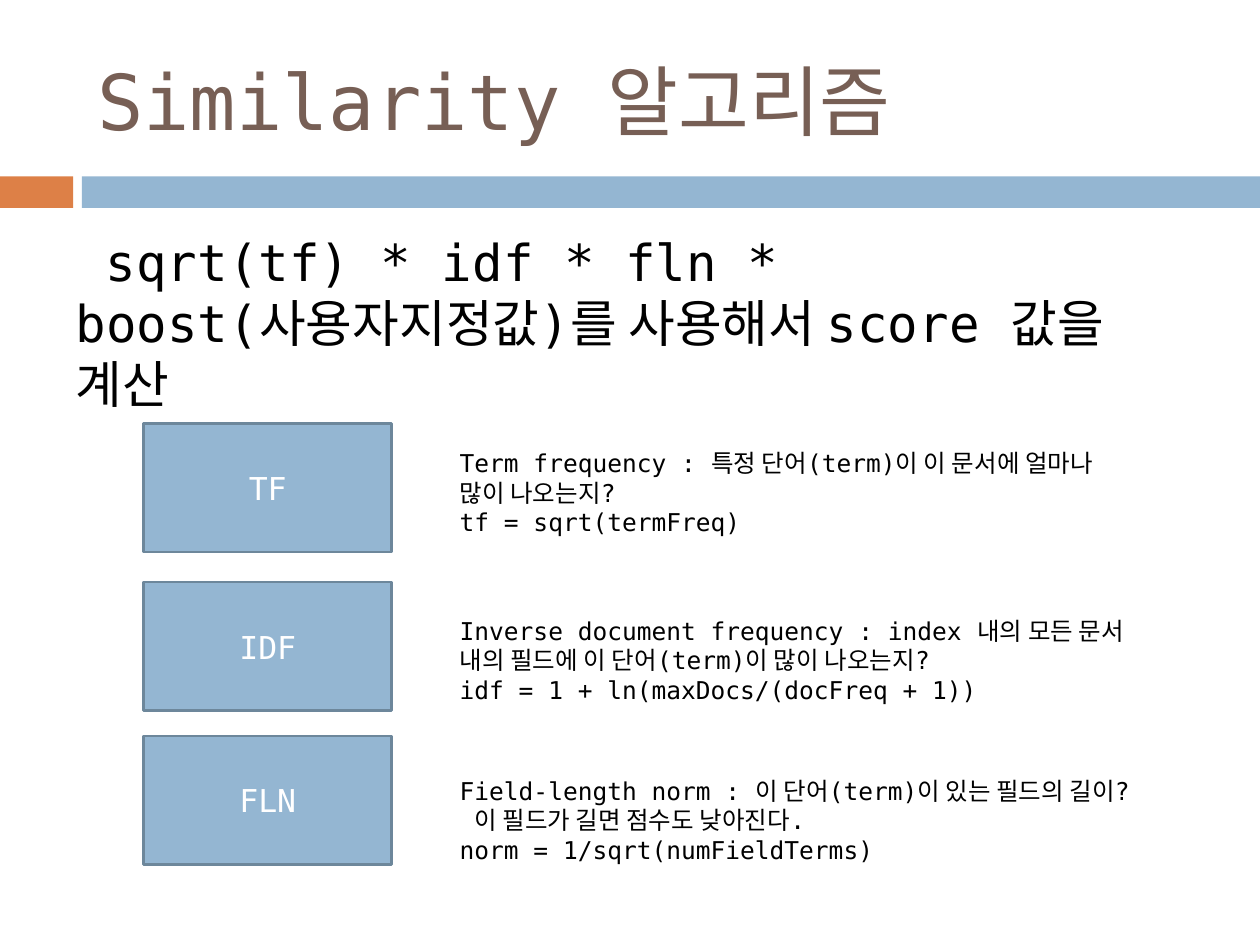
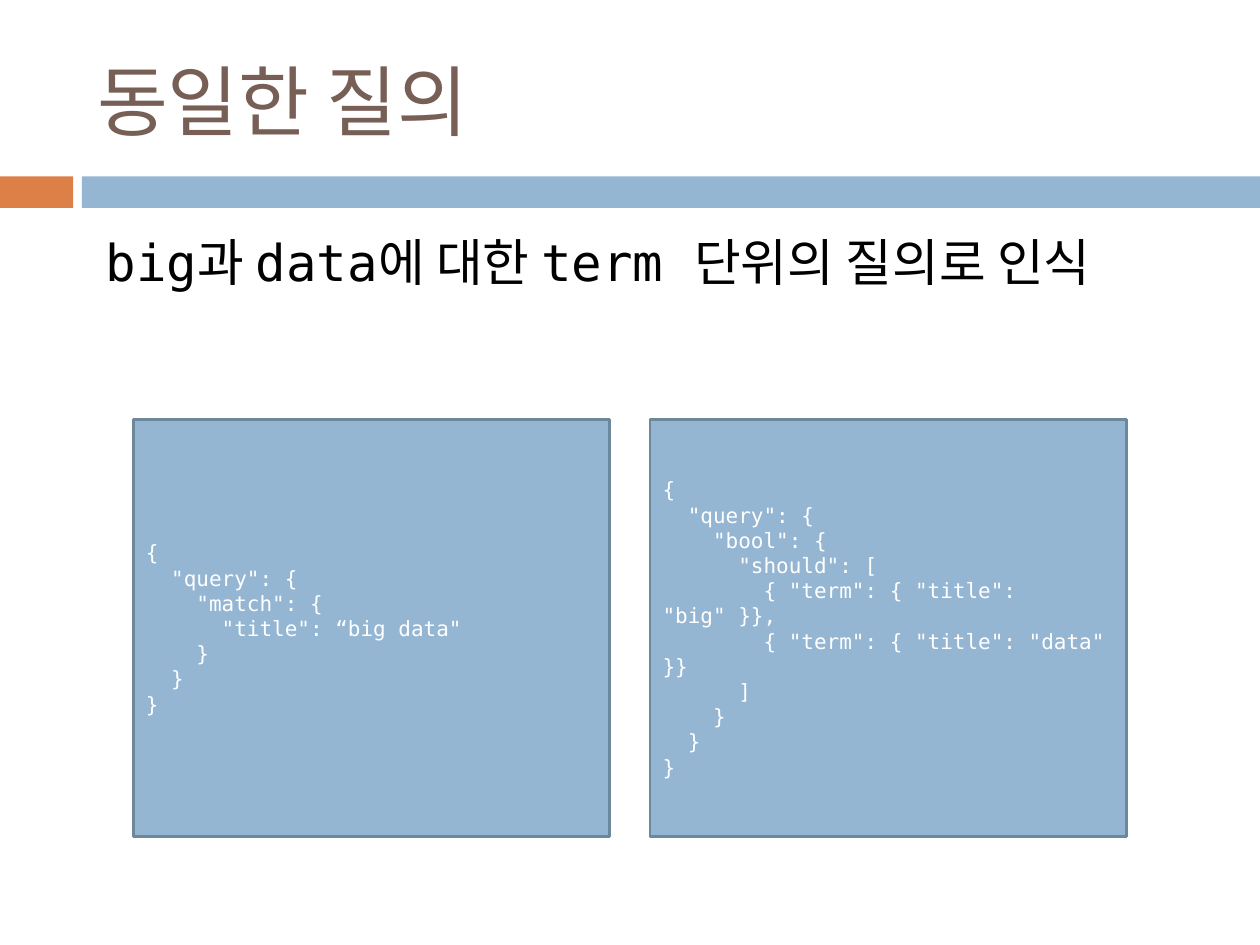
"""Build two slides on similarity scoring and equivalent search queries."""
from dataclasses import dataclass

from pptx import Presentation
from pptx.dml.color import RGBColor
from pptx.enum.shapes import MSO_SHAPE
from pptx.enum.text import MSO_ANCHOR, MSO_AUTO_SIZE, PP_ALIGN
from pptx.oxml.xmlchemy import OxmlElement
from pptx.presentation import Presentation as Deck
from pptx.shapes.autoshape import Shape
from pptx.slide import Slide
from pptx.text.text import TextFrame
from pptx.util import Inches, Pt

FONT = "DejaVu Sans Mono"
COLORS = {
    "accent": "DD8047",
    "band": "94B6D2",
    "outline": "6D879B",
    "title": "775F55",
    "text": "000000",
    "light": "FFFFFF",
}


@dataclass(frozen=True)
class Box:
    """Position and size in inches."""

    left: float
    top: float
    width: float
    height: float


@dataclass(frozen=True)
class Factor:
    """One scoring factor with its label and explanation."""

    label: str
    label_top: float
    details: list[str]
    details_top: float


TITLE_BOX = Box(0.67, 0.25, 8.92, 1.08)
LEAD_BOX = Box(0.5, 1.78, 9, 1.3)
BANDS = {"accent": Box(0, 1.4, 0.58, 0.25), "band": Box(0.65, 1.4, 9.35, 0.25)}

FACTORS = [
    Factor("TF", 3.36, [
        "Term frequency : 특정 단어(term)이 이 문서에 얼마나 많이 나오는지?",
        "tf = sqrt(termFreq)",
    ], 3.51),
    Factor("IDF", 4.62, [
        "Inverse document frequency : index 내의 모든 문서 내의 필드에 이 단어(term)이 많이 나오는지?",
        "idf = 1 + ln(maxDocs/(docFreq + 1))",
    ], 4.84),
    Factor("FLN", 5.84, [
        "Field-length norm : 이 단어(term)이 있는 필드의 길이? 이 필드가 길면 점수도 낮아진다.",
        "norm = 1/sqrt(numFieldTerms)",
    ], 6.11),
]

MATCH_QUERY = """{
  "query": {
    "match": {
      "title": “big data"
    }
  }
}"""

BOOL_QUERY = """{
  "query": {
    "bool": {
      "should": [
        { "term": { "title": "big" }},
        { "term": { "title": "data" }}
      ]
    }
  }
}"""


def write(frame: TextFrame, lines: list[str], size: int, color: str,
          align: PP_ALIGN = PP_ALIGN.LEFT,
          anchor: MSO_ANCHOR = MSO_ANCHOR.MIDDLE) -> None:
    """Fill a text frame with one paragraph per line."""
    frame.word_wrap = True
    frame.auto_size = MSO_AUTO_SIZE.NONE
    frame.vertical_anchor = anchor
    for index, line in enumerate(lines):
        paragraph = frame.add_paragraph() if index else frame.paragraphs[0]
        paragraph.text = line
        paragraph.alignment = align
        paragraph.space_before = Pt(0)
        paragraph.font.name = FONT
        paragraph.font.size = Pt(size)
        paragraph.font.color.rgb = RGBColor.from_string(COLORS[color])


def place(shape: Shape, box: Box) -> None:
    """Move and resize a placeholder."""
    shape.left, shape.top = Inches(box.left), Inches(box.top)
    shape.width, shape.height = Inches(box.width), Inches(box.height)


def add_rectangle(slide: Slide, box: Box, fill: str, outline: str | None = None) -> Shape:
    """Draw a flat rectangle with an optional outline."""
    rectangle = slide.shapes.add_shape(
        MSO_SHAPE.RECTANGLE, Inches(box.left), Inches(box.top),
        Inches(box.width), Inches(box.height))
    rectangle.shadow.inherit = False
    rectangle.fill.solid()
    rectangle.fill.fore_color.rgb = RGBColor.from_string(COLORS[fill])
    if outline:
        rectangle.line.color.rgb = RGBColor.from_string(COLORS[outline])
        rectangle.line.width = Pt(1.5)
    else:
        rectangle.line.fill.background()
    return rectangle


def add_panel(slide: Slide, box: Box, lines: list[str], size: int, align: PP_ALIGN) -> None:
    """Draw an outlined panel with light text."""
    panel = add_rectangle(slide, box, "band", "outline")
    write(panel.text_frame, lines, size, "light", align)


def add_topic_slide(deck: Deck, title: str, lead: str) -> Slide:
    """Add a slide with the shared bands, title and lead sentence."""
    slide = deck.slides.add_slide(deck.slide_layouts[1])
    for color, box in BANDS.items():
        add_rectangle(slide, box, color)
    heading, body = slide.shapes.title, slide.placeholders[1]
    place(heading, TITLE_BOX)
    write(heading.text_frame, [title], 44, "title")
    place(body, LEAD_BOX)
    properties = body.text_frame.paragraphs[0]._p.get_or_add_pPr()
    properties.set("marL", "0")
    properties.set("indent", str(Inches(0.24)))
    properties.append(OxmlElement("a:buNone"))
    write(body.text_frame, [lead], 29, "text", anchor=MSO_ANCHOR.TOP)
    return slide


def add_factor(slide: Slide, factor: Factor) -> None:
    """Draw a factor label with its explanation beside it."""
    add_panel(slide, Box(1.14, factor.label_top, 1.97, 1.02),
              [factor.label], 18, PP_ALIGN.CENTER)
    details = slide.shapes.add_textbox(
        Inches(3.55), Inches(factor.details_top), Inches(5.51), Inches(0.81))
    write(details.text_frame, factor.details, 14, "text", anchor=MSO_ANCHOR.TOP)
    details.text_frame.auto_size = MSO_AUTO_SIZE.SHAPE_TO_FIT_TEXT


def main() -> None:
    """Build and save the presentation."""
    deck = Presentation()
    deck.slide_width, deck.slide_height = Inches(10), Inches(7.5)

    similarity = add_topic_slide(
        deck, "Similarity 알고리즘",
        "sqrt(tf) * idf * fln * boost(사용자지정값)를 사용해서 score 값을 계산")
    for factor in FACTORS:
        add_factor(similarity, factor)

    equivalence = add_topic_slide(
        deck, "동일한 질의", "big과 data에 대한 term 단위의 질의로 인식")
    for column, query in enumerate([MATCH_QUERY, BOOL_QUERY]):
        add_panel(equivalence, Box(1.06 + 4.1 * column, 3.33, 3.78, 3.31),
                  query.splitlines(), 12, PP_ALIGN.LEFT)

    deck.save("out.pptx")


if __name__ == "__main__":
    main()
